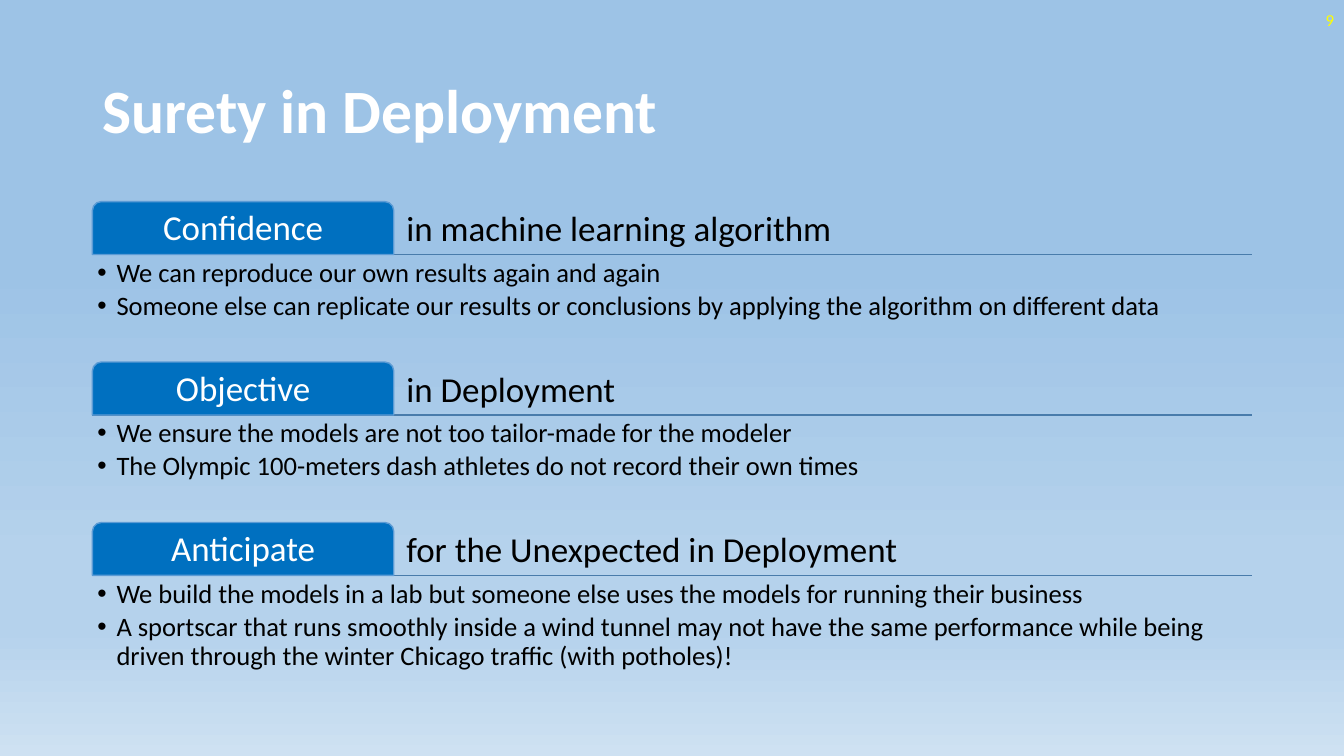
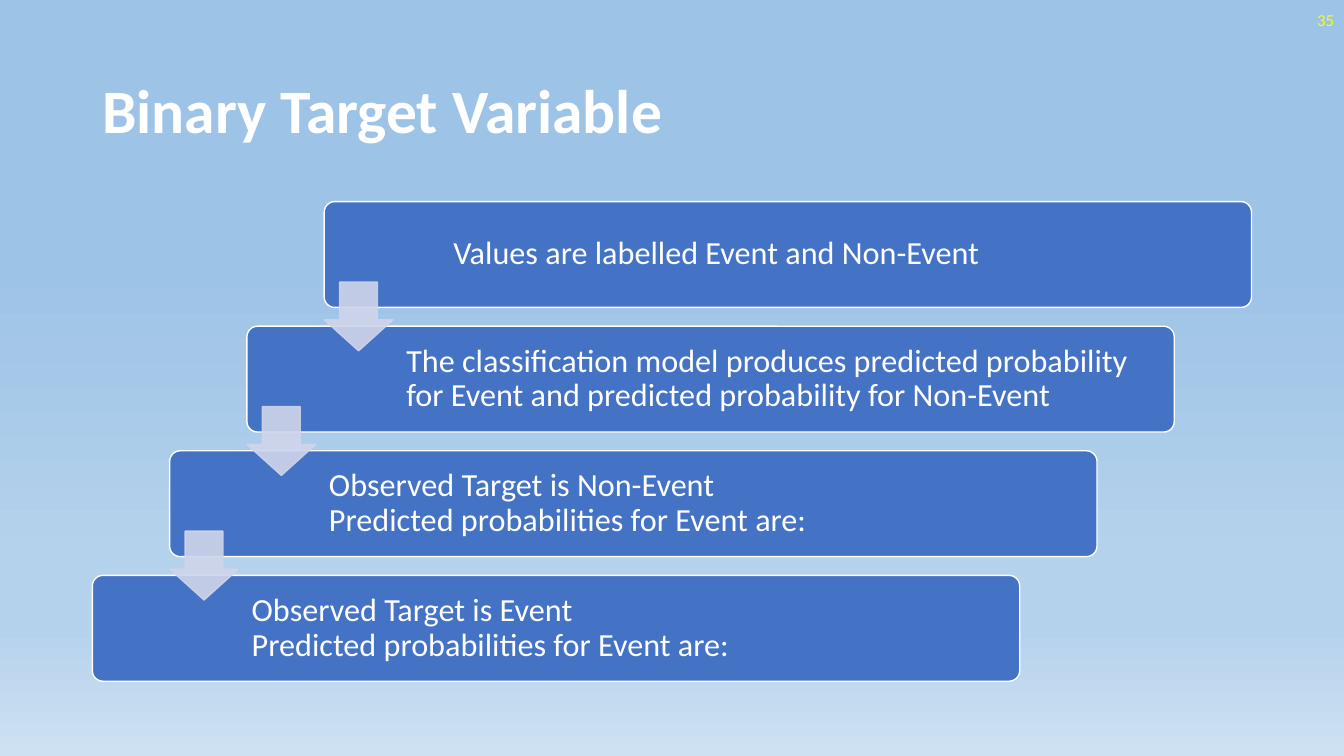
from dataclasses import dataclass

from lxml import etree
from pptx import Presentation, util as u
from pptx.dml.color import RGBColor
from pptx.enum import shapes, text
from pptx.oxml import parse_xml
from pptx.oxml.ns import nsdecls, qn

COLS, ROWS = 160, 90
CELL = u.Inches(1) / 12
KIND = shapes.MSO_SHAPE
SIDE = text.PP_ALIGN
FIX = text.MSO_ANCHOR


@dataclass(frozen=True)
class Theme:
    font: str = "Calibri"
    white: str = "FFFFFF"
    black: str = "000000"
    number: str = "FFFF00"
    tab: str = "0070C0"
    edge: str = "5B9BD5"
    rule: str = "497CAB"
    card: str = "4472C4"
    arrow: str = "CFD5EA"
    sky: tuple = ((35, "9DC3E6"), (74, "B5D2EC"), (83, "B5D2EC"), (100, "CEE1F2"))
    title_size: int = 44
    page_size: int = 12
    head_size: int = 25
    list_size: int = 19
    card_size: int = 23


T = Theme()


@dataclass(frozen=True)
class Box:
    x: float
    y: float
    w: float
    h: float

    def cut(self, x, y, w, h):
        return Box(self.x + x, self.y + y, w, h)

    def emu(self):
        return [grid(n) for n in (self.x, self.y, self.w, self.h)]


TITLE = Box(11, 4.8, 138, 17.4)
PAGE = Box(124, 0, 36, 4.8)
BODY = Box(11, 24, 138, 57.1)
CARD_H = 12.6


def grid(n):
    return u.Emu(round(n * CELL))


def paint(target, color, alpha=None):
    target.solid()
    target.fore_color.rgb = RGBColor.from_string(color)
    if alpha:
        for tone in target._xPr.iter(qn("a:srgbClr")):
            etree.SubElement(tone, qn("a:alpha"), val=str(alpha * 1000))


def add_sky(master):
    stops = "".join(
        f'<a:gs pos="{at * 1000}"><a:srgbClr val="{color}"/></a:gs>'
        for at, color in T.sky)
    fill = master.background.fill
    fill.gradient()
    fill.gradient_angle = 270
    old = fill._fill._gradFill.find(qn("a:gsLst"))
    new = parse_xml(f"<a:gsLst {nsdecls('a')}>{stops}</a:gsLst>")
    old.getparent().replace(old, new)


def add_bullet(para):
    props = para._p.get_or_add_pPr()
    props.set("marL", str(u.Inches(0.19)))
    props.set("indent", str(-u.Inches(0.19)))
    etree.SubElement(props, qn("a:buFont"), typeface="Arial")
    etree.SubElement(props, qn("a:buChar"), char="•")


def write(shape, paras, size, color, anchor, align=SIDE.LEFT, pad=(1.2, 0.6, 1.2, 0.6),
          bold=False, bullet=False, lead=0.9):
    frame = shape.text_frame
    frame.word_wrap = True
    frame.vertical_anchor = anchor
    (frame.margin_left, frame.margin_top,
     frame.margin_right, frame.margin_bottom) = map(grid, pad)
    for i, lines in enumerate(paras):
        para = frame.add_paragraph() if i else frame.paragraphs[0]
        para.alignment = align
        para.line_spacing = lead
        if bullet:
            para.space_after = u.Pt(3)
            add_bullet(para)
        for j, line in enumerate(lines.split("\n")):
            if j:
                para.add_line_break()
            run = para.add_run()
            run.text = line
            font = run.font
            font.name, font.size, font.bold = T.font, u.Pt(size), bold
            font.color.rgb = RGBColor.from_string(color)


def add_text(slide, box, paras, *style, **more):
    write(slide.shapes.add_textbox(*box.emu()), paras, *style, **more)


def add_shape(slide, kind, box, fill, line, turns, alpha=None):
    shape = slide.shapes.add_shape(kind, *box.emu())
    shape.shadow.inherit = False
    for i, turn in enumerate(turns):
        shape.adjustments[i] = turn
    paint(shape.fill, fill, alpha)
    paint(shape.line.fill, line, alpha)
    shape.line.width = u.Pt(1)
    return shape


def add_rule(slide, x, y, w):
    rule = slide.shapes.add_connector(
        shapes.MSO_CONNECTOR.STRAIGHT, grid(x), grid(y), grid(x + w), grid(y))
    paint(rule.line.fill, T.rule)
    rule.line.width = u.Pt(1)
    etree.SubElement(rule._element.spPr, qn("a:effectLst"))


def add_page(deck, title, number):
    slide = deck.slides.add_slide(deck.slide_layouts[6])
    add_text(slide, TITLE, [title], T.title_size, T.white, FIX.MIDDLE, bold=True)
    add_text(slide, PAGE, [number], T.page_size, T.number, FIX.MIDDLE, SIDE.RIGHT, lead=1)
    return slide


def add_topic(slide, box, label, head, points):
    tab_w, tab_h = box.w * 0.26, box.h / 3
    thin = (0.6,) * 4
    add_rule(slide, box.x, box.y + tab_h, box.w)
    add_text(slide, box.cut(tab_w, 0, box.w - tab_w, tab_h), [head],
             T.head_size, T.black, FIX.BOTTOM, pad=(1.5, 0.6, 0.6, 0.6))
    tab = add_shape(slide, KIND.ROUND_2_SAME_RECTANGLE, box.cut(0, 0, tab_w, tab_h),
                    T.tab, T.edge, (0.17, 0))
    write(tab, [label], T.head_size, T.white, FIX.MIDDLE, SIDE.CENTER, thin)
    add_text(slide, box.cut(0, tab_h, box.w, box.h - tab_h), points,
             T.list_size, T.black, FIX.TOP, pad=thin, bullet=True)


def add_topics(slide, box, topics):
    high = CARD_H * 1.5
    step = (box.h - high) / (len(topics) - 1)
    for i, topic in enumerate(topics):
        add_topic(slide, box.cut(0, i * step, box.w, high), *topic)


def add_stairs(slide, box, steps):
    last = len(steps) - 1
    wide = box.w * 0.8
    down, back = (box.h - CARD_H) / last, (box.w - wide) / last
    cards = [box.cut((last - i) * back, i * down, wide, CARD_H)
             for i in range(last + 1)]
    for i, (card, words) in enumerate(zip(cards, steps)):
        shape = add_shape(slide, KIND.ROUNDED_RECTANGLE, card, T.card, T.white, (0.1,))
        write(shape, [words], T.card_size, T.white, FIX.MIDDLE,
              pad=(18.6 if i else 15, 1.2, 1.2, 1.2))
    size = CARD_H * 0.65
    for card in cards[:-1]:
        add_shape(slide, KIND.DOWN_ARROW, card.cut(0, CARD_H * 0.76, size, size),
                  T.arrow, T.arrow, (0.55, 0.45), 90)


TOPICS = [
    ("Confidence", "in machine learning algorithm", [
        "We can reproduce our own results again and again",
        "Someone else can replicate our results or conclusions by applying "
        "the algorithm on different data"]),
    ("Objective", "in Deployment", [
        "We ensure the models are not too tailor-made for the modeler",
        "The Olympic 100-meters dash athletes do not record their own times"]),
    ("Anticipate", "for the Unexpected in Deployment", [
        "We build the models in a lab but someone else uses the models "
        "for running their business",
        "A sportscar that runs smoothly inside a wind tunnel may not have the same "
        "performance while being driven through the winter Chicago traffic "
        "(with potholes)!"]),
]

STEPS = [
    "Values are labelled Event and Non-Event",
    "The classification model produces predicted probability for Event "
    "and predicted probability for Non-Event",
    "Observed Target is Non-Event\nPredicted probabilities for Event are:",
    "Observed Target is Event\nPredicted probabilities for Event are:",
]


def main():
    deck = Presentation()
    deck.slide_width, deck.slide_height = grid(COLS), grid(ROWS)
    add_sky(deck.slide_master)
    add_topics(add_page(deck, "Surety in Deployment", "9"), BODY, TOPICS)
    add_stairs(add_page(deck, "Binary Target Variable", "35"), BODY, STEPS)
    deck.save("out.pptx")


if __name__ == "__main__":
    main()
